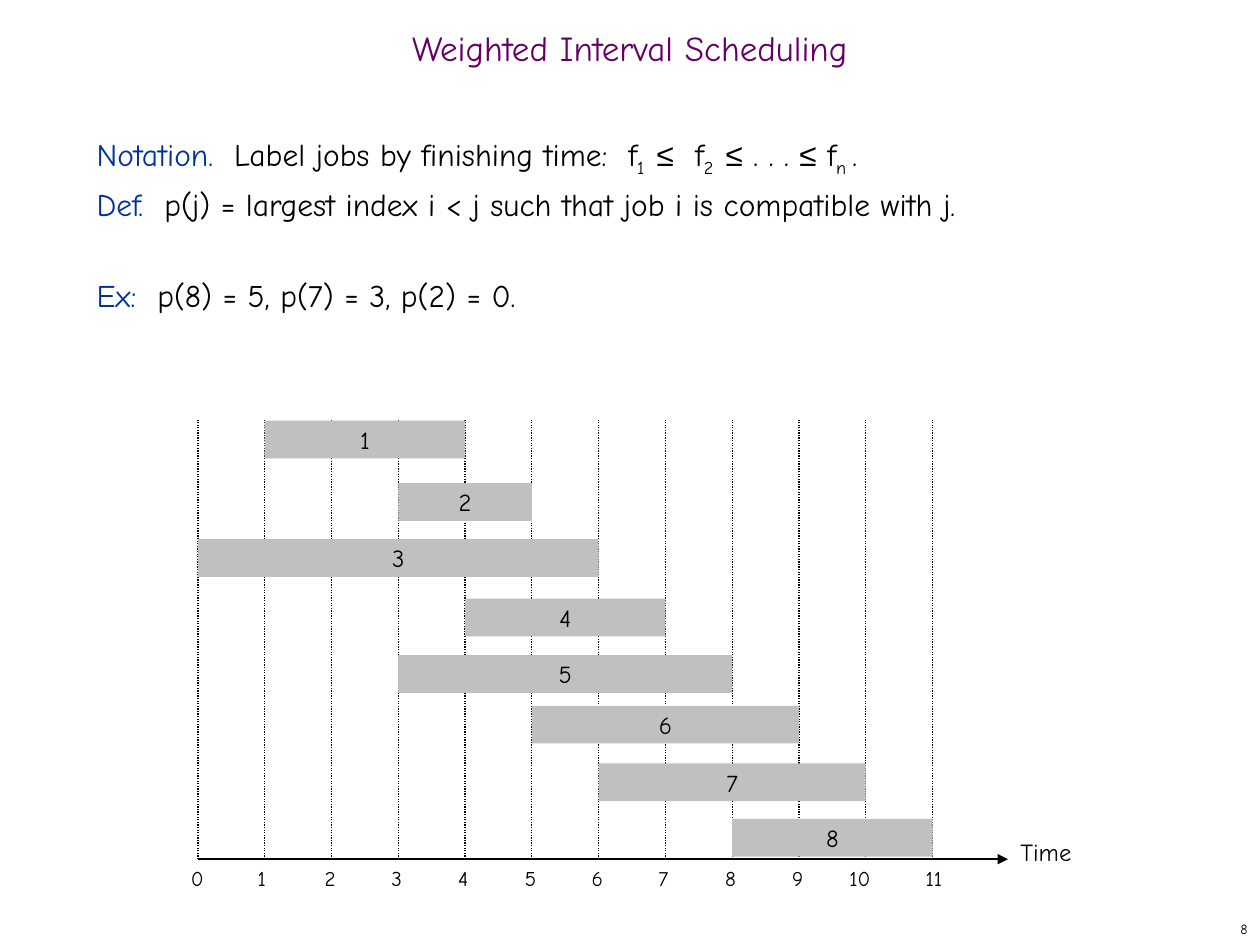
from dataclasses import dataclass
from typing import NamedTuple

from lxml.etree import SubElement
from pptx import Presentation
from pptx.dml.color import RGBColor
from pptx.enum.dml import MSO_LINE
from pptx.enum.shapes import MSO_CONNECTOR, MSO_SHAPE
from pptx.enum.text import MSO_ANCHOR, PP_ALIGN
from pptx.oxml.ns import qn
from pptx.util import Cm, Pt


@dataclass(frozen=True)
class Theme:
    font: str = "Comic Neue"
    math: str = "Arial"
    ink: str = "000000"
    head: str = "660066"
    term: str = "003399"
    bar: str = "C0C0C0"
    title: int = 20
    body: int = 18
    label: int = 14
    tick: int = 12
    page: int = 8


class Span(NamedTuple):
    """A piece of text with its own look."""
    text: str
    color: str = ""
    font: str = ""
    sub: bool = False


class Job(NamedTuple):
    """A job with its start, finish and the top of its bar in cm."""
    start: int
    end: int
    top: float


THEME = Theme()
LEFT, WIDTH, COUNT = 3.99, 14.81, 11
TOP, BASE, BAR = 8.46, 17.32, 0.76
JOBS = [
    Job(1, 4, 8.48), Job(3, 5, 9.74), Job(0, 6, 10.87), Job(4, 7, 12.07),
    Job(3, 8, 13.21), Job(5, 9, 14.23), Job(6, 10, 15.39), Job(8, 11, 16.51),
]
# Tick labels start a little left of their line
SHIFT = {10: 0.58}


def term(text: str) -> Span:
    return Span(text, THEME.term)


def sub(text: str) -> Span:
    return Span(text, sub=True)


LEQ = Span("≤", font=THEME.math)
NOTES = [
    [term("Notation.  "), Span("Label jobs by finishing time:  f"), sub("1  "),
     LEQ, Span("  f"), sub("2  "), LEQ, Span(" . . . "), LEQ, Span(" f"),
     sub("n "), Span(".")],
    [term("Def.  "),
     Span("p(j) = largest index i < j such that job i is compatible with j.")],
    [term("Ex:  "), Span("p(8) = 5, p(7) = 3, p(2) = 0.")],
]


def tick(step: int) -> float:
    return LEFT + step * WIDTH / COUNT


def write(frame, paras, size: int, color: str = THEME.ink,
          align=PP_ALIGN.LEFT, anchor=MSO_ANCHOR.TOP, lead=None,
          wrap: bool = True) -> None:
    """Fill a frame with a string, or with paragraphs made of spans."""
    frame.word_wrap = wrap
    frame.vertical_anchor = anchor
    if isinstance(paras, str):
        paras = [[Span(paras)]]
    for num, spans in enumerate(paras):
        para = frame.add_paragraph() if num else frame.paragraphs[0]
        para.alignment = align
        if lead is not None:
            para.line_spacing = lead
        for span in spans:
            run = para.add_run()
            run.text = span.text
            run.font.size = Pt(size)
            run.font.name = span.font or THEME.font
            run.font.color.rgb = RGBColor.from_string(span.color or color)
            if span.sub:
                run._r.get_or_add_rPr().set("baseline", "-25000")


def box(slide, x: float, y: float, w: float, h: float):
    return slide.shapes.add_textbox(Cm(x), Cm(y), Cm(w), Cm(h)).text_frame


def line(slide, x1: float, y1: float, x2: float, y2: float, width: float,
         dash=None, arrow: bool = False) -> None:
    wire = slide.shapes.add_connector(
        MSO_CONNECTOR.STRAIGHT, Cm(x1), Cm(y1), Cm(x2), Cm(y2))
    wire.line.color.rgb = RGBColor.from_string(THEME.ink)
    wire.line.width = Pt(width)
    if dash is not None:
        wire.line.dash_style = dash
    if arrow:
        SubElement(wire.line._get_or_add_ln(), qn("a:tailEnd"), type="triangle")
    SubElement(wire._element.spPr, qn("a:effectLst"))


def draw(slide, num: int, job: Job) -> None:
    x = tick(job.start)
    bar = slide.shapes.add_shape(
        MSO_SHAPE.RECTANGLE, Cm(x), Cm(job.top), Cm(tick(job.end) - x), Cm(BAR))
    bar.shadow.inherit = False
    bar.fill.solid()
    bar.fill.fore_color.rgb = RGBColor.from_string(THEME.bar)
    bar.line.fill.background()
    write(bar.text_frame, str(num), THEME.label, align=PP_ALIGN.CENTER,
          anchor=MSO_ANCHOR.MIDDLE, wrap=False)


def main() -> None:
    deck = Presentation()
    deck.slide_width, deck.slide_height = Cm(25.4), Cm(19.05)
    slide = deck.slides.add_slide(deck.slide_layouts[5])

    # Title and page number
    title = slide.shapes.title
    title.left, title.top = Cm(0), Cm(0.43)
    title.width, title.height = Cm(25.4), Cm(1.27)
    write(title.text_frame, "Weighted Interval Scheduling", THEME.title,
          THEME.head, PP_ALIGN.CENTER, MSO_ANCHOR.MIDDLE, lead=0.7)
    write(box(slide, 20.12, 18.42, 5.28, 0.63), "8", THEME.page,
          align=PP_ALIGN.RIGHT, anchor=MSO_ANCHOR.MIDDLE)

    # Definitions, with the example set apart by one line
    notes = box(slide, 1.7, 2.54, 21.79, 15.04)
    write(notes, NOTES, THEME.body, lead=Pt(26))
    notes.paragraphs[-1].space_before = Pt(26)

    # Time axis
    line(slide, LEFT, BASE, 20.32, BASE, 1.25, arrow=True)
    write(box(slide, 20.32, 16.74, 2.11, 0.84), "Time", THEME.label)

    # Grid lines and their labels
    for step in range(COUNT + 1):
        x = tick(step)
        line(slide, x, BASE, x, TOP, 0.75, dash=MSO_LINE.ROUND_DOT)
        write(box(slide, x - SHIFT.get(step, 0.39), BASE, 1.16, 0.76),
              str(step), THEME.tick)

    # Jobs
    for num, job in enumerate(JOBS, 1):
        draw(slide, num, job)

    deck.save("out.pptx")


if __name__ == "__main__":
    main()
